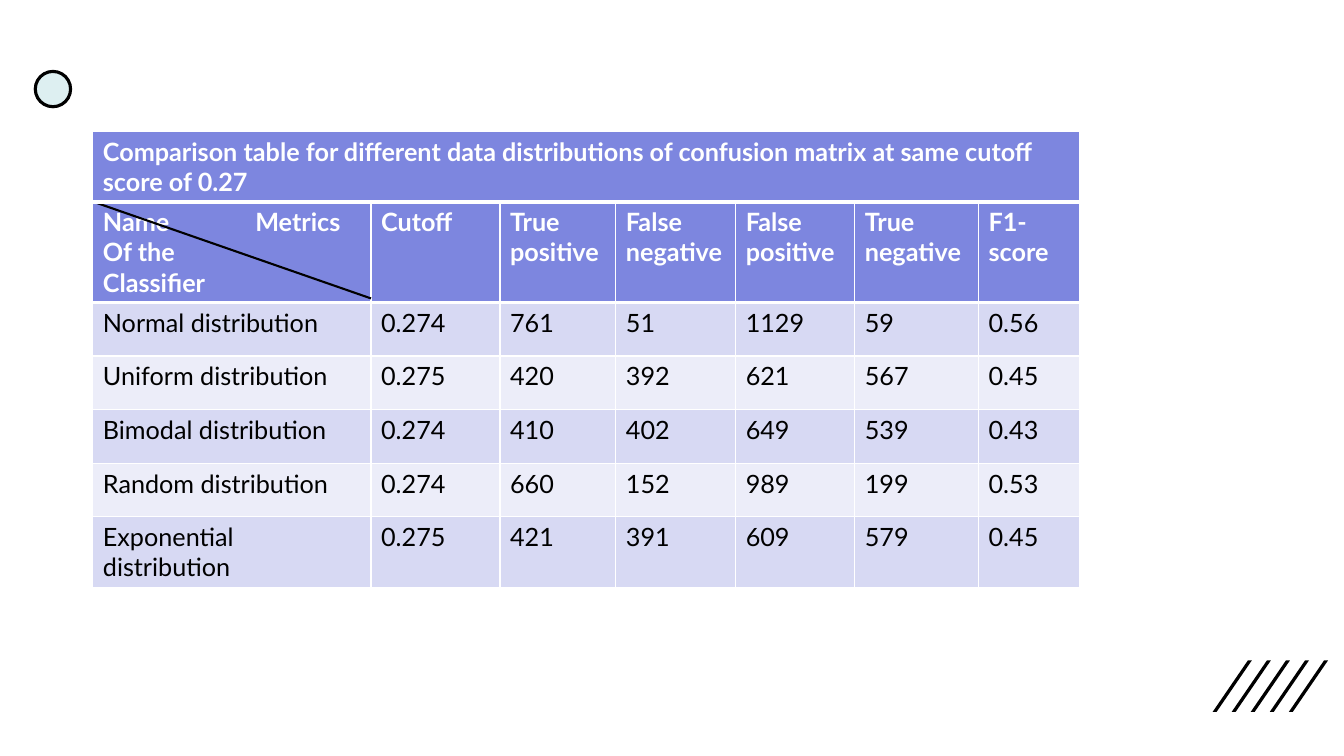
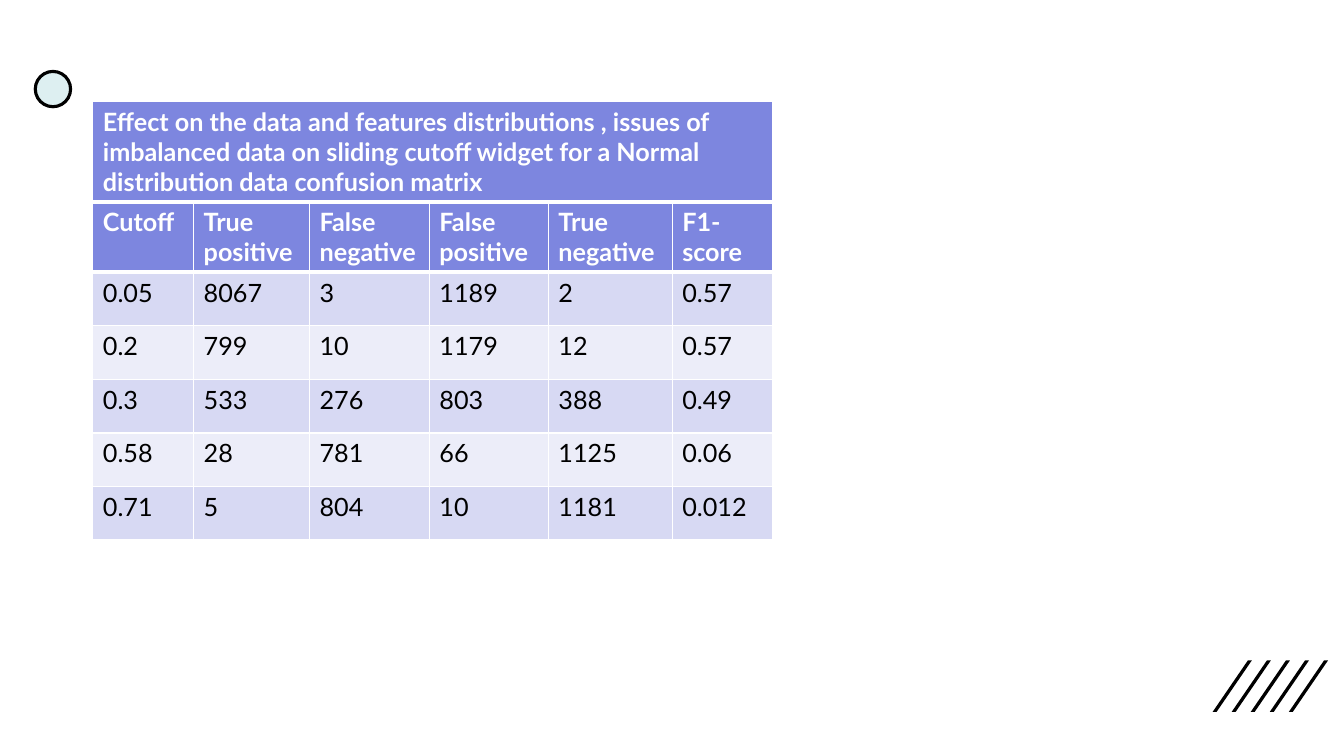
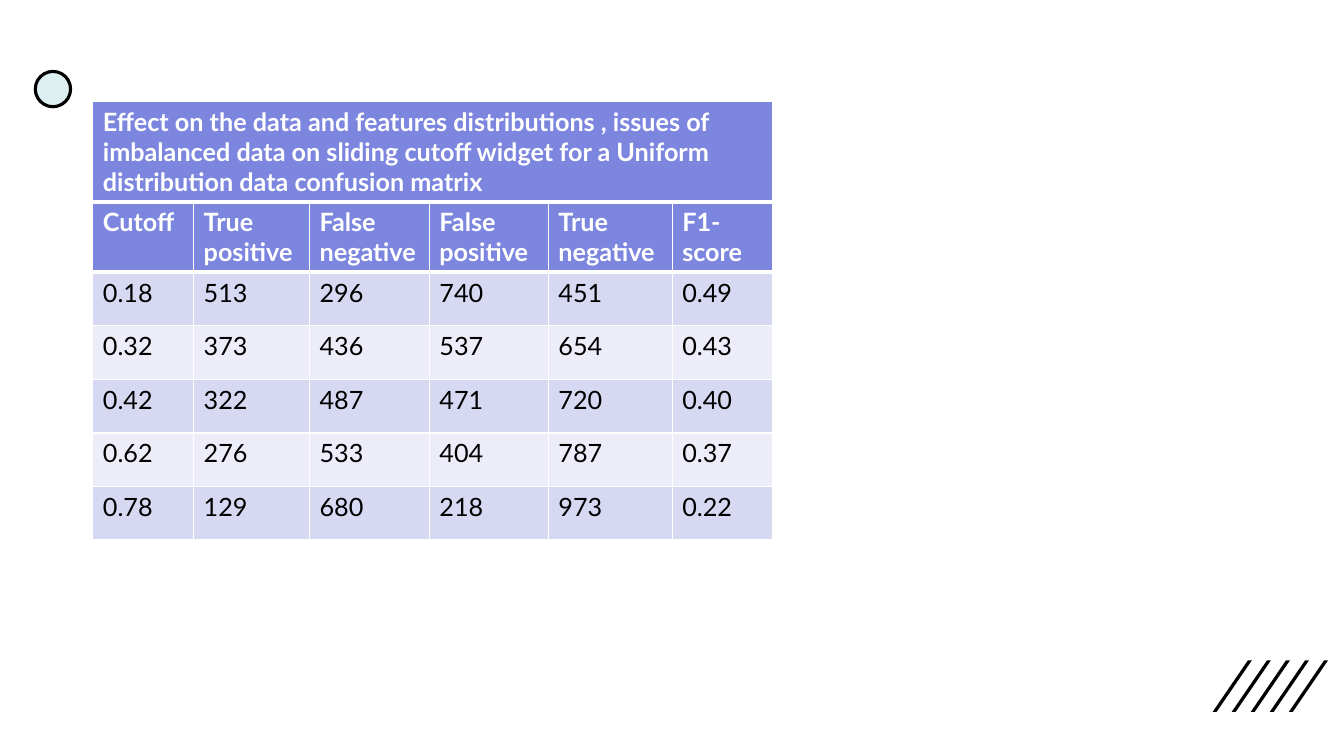
"""Build three slides of confusion matrix tables."""
from lxml.etree import SubElement, fromstring
from pptx import Presentation
from pptx.dml.color import RGBColor
from pptx.enum.shapes import MSO_CONNECTOR, MSO_SHAPE
from pptx.oxml.ns import nsdecls, qn
from pptx.util import Cm, Pt

METRICS = ["Cutoff", "True positive", "False negative", "False positive", "True negative", "F1-score"]
EFFECT = ("Effect on the data and features distributions , issues of imbalanced data on sliding "
          "cutoff widget for a {} distribution data confusion matrix")
CUTOFF_WIDTHS = [2.54, 2.92, 3.02, 3, 3.12, 2.54]

SLIDES = [
    {
        "title": "Comparison table for different data distributions of confusion matrix "
                 "at same cutoff score of 0.27",
        "title_lines": 2,
        "widths": [7.01, 3.25, 2.92, 3.02, 3, 3.12, 2.54],
        "row_lines": [3, 1, 1, 1, 1, 2],
        "diagonal": True,
        "rows": [
            ["Name\tMetrics\nOf the\nClassifier", *METRICS],
            ["Normal distribution", "0.274", "761", "51", "1129", "59", "0.56"],
            ["Uniform distribution", "0.275", "420", "392", "621", "567", "0.45"],
            ["Bimodal distribution", "0.274", "410", "402", "649", "539", "0.43"],
            ["Random distribution", "0.274", "660", "152", "989", "199", "0.53"],
            ["Exponential distribution", "0.275", "421", "391", "609", "579", "0.45"],
        ],
    },
    {
        "title": EFFECT.format("Normal"),
        "title_lines": 3,
        "widths": CUTOFF_WIDTHS,
        "row_lines": [2, 1, 1, 1, 1, 1],
        "diagonal": False,
        "rows": [
            METRICS,
            ["0.05", "8067", "3", "1189", "2", "0.57"],
            ["0.2", "799", "10", "1179", "12", "0.57"],
            ["0.3", "533", "276", "803", "388", "0.49"],
            ["0.58", "28", "781", "66", "1125", "0.06"],
            ["0.71", "5", "804", "10", "1181", "0.012"],
        ],
    },
    {
        "title": EFFECT.format("Uniform"),
        "title_lines": 3,
        "widths": CUTOFF_WIDTHS,
        "row_lines": [2, 1, 1, 1, 1, 1],
        "diagonal": False,
        "rows": [
            METRICS,
            ["0.18", "513", "296", "740", "451", "0.49"],
            ["0.32", "373", "436", "537", "654", "0.43"],
            ["0.42", "322", "487", "471", "720", "0.40"],
            ["0.62", "276", "533", "404", "787", "0.37"],
            ["0.78", "129", "680", "218", "973", "0.22"],
        ],
    },
]

FONT, BLACK, WHITE = "Lato", "000000", "FFFFFF"
HEADER, BANDS, DOT = "7D86DF", ("ECEDF9", "D7D9F3"), "DDEFF1"
TABLE_LEFT, TABLE_TOP, TAB_STOP = 2.34, 5.08, 3.84
LINE_HEIGHT, CELL_MARGINS, MIN_ROW = 0.76, 0.25, 1.35
STRIPE = {"left": 30.56, "top": 16.64, "step": 0.48, "slant": 0.89, "width": 0.1, "height": 1.3}
STRIPE_COUNT = 5


def color(value):
    """Turn a hex string into a colour."""
    return RGBColor.from_string(value)


def paint(shape, fill, line=None, weight=0):
    """Give a shape its fill and outline without a shadow."""
    shape.shadow.inherit = False
    shape.fill.solid()
    shape.fill.fore_color.rgb = color(fill)
    if line:
        shape.line.color.rgb = color(line)
        shape.line.width = Pt(weight)
    else:
        shape.line.fill.background()


def write(frame, text, size=18, ink=BLACK, bold=False):
    """Write one paragraph per line of text, with a tab stop where a tab is used."""
    for index, line in enumerate(text.split("\n")):
        para = frame.add_paragraph() if index else frame.paragraphs[0]
        span = para.add_run()
        span.text = line
        span.font.name, span.font.size, span.font.bold = FONT, Pt(size), bold
        span.font.color.rgb = color(ink)
        if "\t" in line:
            stops = SubElement(para._p.get_or_add_pPr(), qn("a:tabLst"))
            SubElement(stops, qn("a:tab"), pos=str(Cm(TAB_STOP)), algn="l")


def add_borders(cell, top, bottom):
    """Draw white borders around a cell, with weights in points."""
    properties = cell._tc.get_or_add_tcPr()
    for index, (side, weight) in enumerate([("L", 1), ("R", 1), ("T", top), ("B", bottom)]):
        properties.insert(index, fromstring(
            f'<a:ln{side} {nsdecls("a")} w="{Pt(weight)}"><a:solidFill>'
            f'<a:srgbClr val="{WHITE}"/></a:solidFill></a:ln{side}>'))


def row_height(lines):
    """Return the height in centimetres of a row holding this many lines."""
    return max(MIN_ROW, lines * LINE_HEIGHT + CELL_MARGINS)


def add_grid(page, top, rows, widths, heights):
    """Add a table with one header row and banded body rows."""
    grid = page.shapes.add_table(len(rows), len(widths), Cm(TABLE_LEFT), Cm(top),
                                 Cm(sum(widths)), Cm(sum(heights))).table
    grid.first_row = grid.horz_banding = False
    for column, width in zip(grid.columns, widths):
        column.width = Cm(width)
    for number, (row, height, texts) in enumerate(zip(grid.rows, heights, rows)):
        row.height = Cm(height)
        is_header = number == 0
        for cell, text in zip(row.cells, texts):
            cell.fill.solid()
            cell.fill.fore_color.rgb = color(HEADER if is_header else BANDS[number % 2])
            add_borders(cell, top=3 if number == 1 else 1, bottom=3 if is_header else 1)
            write(cell.text_frame, text, ink=WHITE if is_header else BLACK, bold=is_header)


def add_diagonal(page, width, height):
    """Split the first header cell with a diagonal line."""
    line = page.shapes.add_connector(MSO_CONNECTOR.STRAIGHT, Cm(TABLE_LEFT), Cm(TABLE_TOP),
                                     Cm(TABLE_LEFT + width), Cm(TABLE_TOP + height))
    line.line.color.rgb = color(BLACK)
    line.line.width = Pt(1.5)
    SubElement(line.element.spPr, qn("a:effectLst"))


def decorate(layout, page):
    """Draw the stripes and the dot, and move them to the shared layout."""
    for holder in list(layout.placeholders):
        holder.element.getparent().remove(holder.element)
    top, bottom = STRIPE["top"], STRIPE["top"] + STRIPE["height"]
    decorations = []
    for index in range(STRIPE_COUNT):
        left = STRIPE["left"] + index * STRIPE["step"]
        peak = left + STRIPE["slant"]
        corners = [(left + STRIPE["width"], bottom), (left, bottom),
                   (peak, top), (peak + STRIPE["width"], top)]
        points = [(Cm(x), Cm(y)) for x, y in corners]
        outline = page.shapes.build_freeform(*points[0])
        outline.add_line_segments(points[1:], close=True)
        stripe = outline.convert_to_shape()
        paint(stripe, BLACK)
        decorations.append(stripe)
    dot = page.shapes.add_shape(MSO_SHAPE.OVAL, Cm(0.89), Cm(1.8), Cm(0.89), Cm(0.89))
    paint(dot, DOT, BLACK, 2.25)
    for shape in [*decorations, dot]:
        layout.shapes.element.append(shape.element)


def build():
    """Build and save the deck."""
    deck = Presentation()
    deck.slide_width, deck.slide_height = Cm(33.87), Cm(19.05)
    blank = deck.slide_layouts[6]
    for number, content in enumerate(SLIDES):
        page = deck.slides.add_slide(blank)
        if number == 0:
            decorate(blank, page)
        widths = content["widths"]
        heights = [row_height(lines) for lines in content["row_lines"]]
        add_grid(page, TABLE_TOP, content["rows"], widths, heights)
        if content["diagonal"]:
            add_diagonal(page, widths[0], heights[0] - 0.09)
        title_height = row_height(content["title_lines"])
        add_grid(page, TABLE_TOP - title_height, [[content["title"]]], [sum(widths)], [title_height])
    deck.save("out.pptx")


build()
